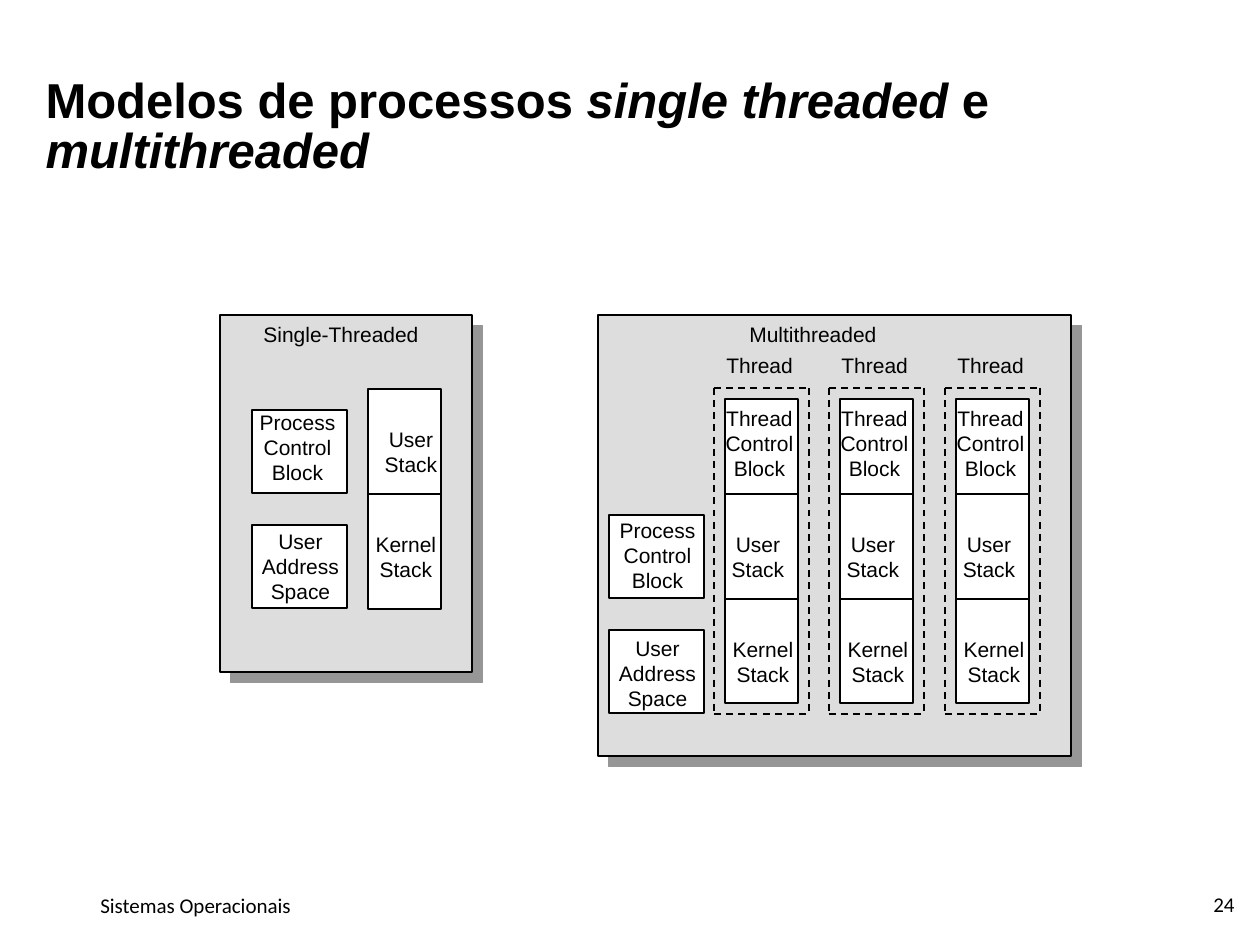
import pptx
import pptx.dml.color
import pptx.enum.dml
import pptx.enum.shapes
import pptx.enum.text
import pptx.oxml
import pptx.oxml.ns
import pptx.util

SCALE = 914400 / 126  # EMU in one px
BLACK, WHITE, GREY, SHADE = "000000", "FFFFFF", "DDDDDD", "969696"
ALIGN = pptx.enum.text.PP_ALIGN
ANCHOR = pptx.enum.text.MSO_ANCHOR
FIT = pptx.enum.text.MSO_AUTO_SIZE


def px(*lengths):
    return [pptx.util.Emu(round(length * SCALE)) for length in lengths]


def colour(target, value):
    target.rgb = pptx.dml.color.RGBColor.from_string(value)


def style_font(font, size, name):
    font.size = pptx.util.Pt(size)
    font.name = name
    colour(font.color, BLACK)


def add_effects(shape, content=""):
    namespace = pptx.oxml.ns.nsdecls("a")
    shape._element.spPr.append(pptx.oxml.parse_xml(
        f"<a:effectLst {namespace}>{content}</a:effectLst>"))


def add_rectangle(page, left, top, width, height, fill=WHITE):
    box = page.shapes.add_shape(pptx.enum.shapes.MSO_SHAPE.RECTANGLE,
                                *px(left, top, width, height))
    box.shadow.inherit = False
    box.fill.solid()
    colour(box.fill.fore_color, fill)
    colour(box.line.color, BLACK)
    box.line.width = pptx.util.Pt(1)
    return box


def add_line(page, x1, y1, x2, y2, dashed=False):
    line = page.shapes.add_connector(pptx.enum.shapes.MSO_CONNECTOR.STRAIGHT,
                                     *px(x1, y1, x2, y2))
    colour(line.line.color, BLACK)
    line.line.width = pptx.util.Pt(1)
    if dashed:
        line.line.dash_style = pptx.enum.dml.MSO_LINE.DASH
    add_effects(line)


def add_label(page, left, top, width, height, words, align=ALIGN.CENTER,
              font="Arial", fit=FIT.SHAPE_TO_FIT_TEXT):
    """One paragraph for each word group; the text does not wrap."""
    box = page.shapes.add_textbox(*px(left, top, width, height))
    frame = box.text_frame
    frame.word_wrap = False
    frame.auto_size = fit
    frame.text = "\n".join(words)
    for para in frame.paragraphs:
        para.alignment = align
        style_font(para.font, 12, font)
    return frame


def add_title(page, left, top, width, height):
    title = page.shapes.title
    title.left, title.top, title.width, title.height = px(left, top, width, height)
    frame = title.text_frame
    frame.auto_size = FIT.NONE
    frame.word_wrap = True
    frame.vertical_anchor = ANCHOR.TOP
    para = frame.paragraphs[0]
    para.alignment = ALIGN.LEFT
    para.line_spacing = 0.85
    style_font(para.font, 28, "Arial")
    para.font.bold = True
    for text, italic in (("Modelos de processos ", False), ("single threaded", True),
                         (" e ", False), ("multithreaded", True)):
        span = para.add_run()
        span.text = text
        span.font.italic = italic


def add_panel(page, left, top, width, height):
    panel = add_rectangle(page, left, top, width, height, GREY)
    panel._element.spPr.remove(
        panel._element.spPr.find(pptx.oxml.ns.qn("a:effectLst")))
    add_effects(panel, '<a:outerShdw dist="107950" dir="2700000" algn="ctr" '
                       f'rotWithShape="0"><a:srgbClr val="{SHADE}"/></a:outerShdw>')


def add_process_block(page, left, top, words, shift_x, shift_y):
    add_rectangle(page, left, top, 95, 83)
    add_label(page, left + shift_x, top + shift_y, 105, 88, words)


def add_stack_labels(page, user_left, kernel_left, top):
    add_label(page, user_left, top, 80, 63, ["User", "Stack"])
    add_label(page, kernel_left, top + 105, 88, 63, ["Kernel", "Stack"])


def add_single_threaded(page, left, top, width, height):
    add_panel(page, left, top, width, height)
    add_label(page, left + 29, top, 184, 63, ["Single-Threaded"])
    add_process_block(page, left + 32, top + 95, ["Process", "Control", "Block"], -7, -7)
    add_process_block(page, left + 32, top + 210, ["User", "Address", "Space"], -4, -3)
    # User and kernel stacks
    add_rectangle(page, left + 148, top + 74, 73, 220)
    add_line(page, left + 148, top + 179, left + 221, top + 179)
    add_stack_labels(page, left + 151, left + 142, top + 105)


def add_thread(page, left, top, width, height):
    right, bottom = left + width, top + height
    add_label(page, left, top - 42, 96, 38, ["Thread"], ALIGN.LEFT)
    # Control block above the two stacks
    add_rectangle(page, left + 11, top + 106, 73, 209)
    add_rectangle(page, left + 11, top + 11, 73, 95)
    add_line(page, left + 11, top + 211, left + 84, top + 211)
    add_label(page, left - 3, top + 11, 97, 88, ["Thread", "Control", "Block"])
    add_stack_labels(page, left + 4, left + 5, top + 137)
    # Dashed frame
    for y in (top, bottom):
        add_line(page, left, y, right, y, dashed=True)
    for x in (left, right):
        add_line(page, x, top, x, bottom, dashed=True)


def add_multithreaded(page, left, top, width, height):
    add_panel(page, left, top, width, height)
    add_label(page, left + 135, top, 160, 63, ["Multithreaded"])
    add_process_block(page, left + 11, top + 200, ["Process", "Control", "Block"], -4, -4)
    add_process_block(page, left + 11, top + 315, ["User", "Address", "Space"], -4, -1)
    for number in range(3):
        add_thread(page, left + 116 + number * 231 // 2, top + 73, 95, 326)


def add_footer(page, left, top, width, height):
    frame = add_label(page, left, top, width - 184, height, ["Sistemas Operacionais"],
                      ALIGN.LEFT, "Calibri", FIT.NONE)
    frame.margin_left = frame.margin_right = pptx.util.Inches(0.05)
    number = add_label(page, left + width - 184, top + 1, 184, 34, ["24"],
                       ALIGN.RIGHT, "Calibri", FIT.NONE)
    number.margin_top = number.margin_bottom = 0
    number.vertical_anchor = ANCHOR.MIDDLE


def main():
    deck = pptx.Presentation()
    deck.slide_width, deck.slide_height = px(1260, 945)
    page = deck.slides.add_slide(deck.slide_layouts[5])
    add_title(page, 33, 72, 1040, 115)
    add_single_threaded(page, 220, 315, 252, 357)
    add_multithreaded(page, 598, 315, 473, 441)
    add_footer(page, 94, 886, 1153, 42)
    deck.save("out.pptx")


if __name__ == "__main__":
    main()
